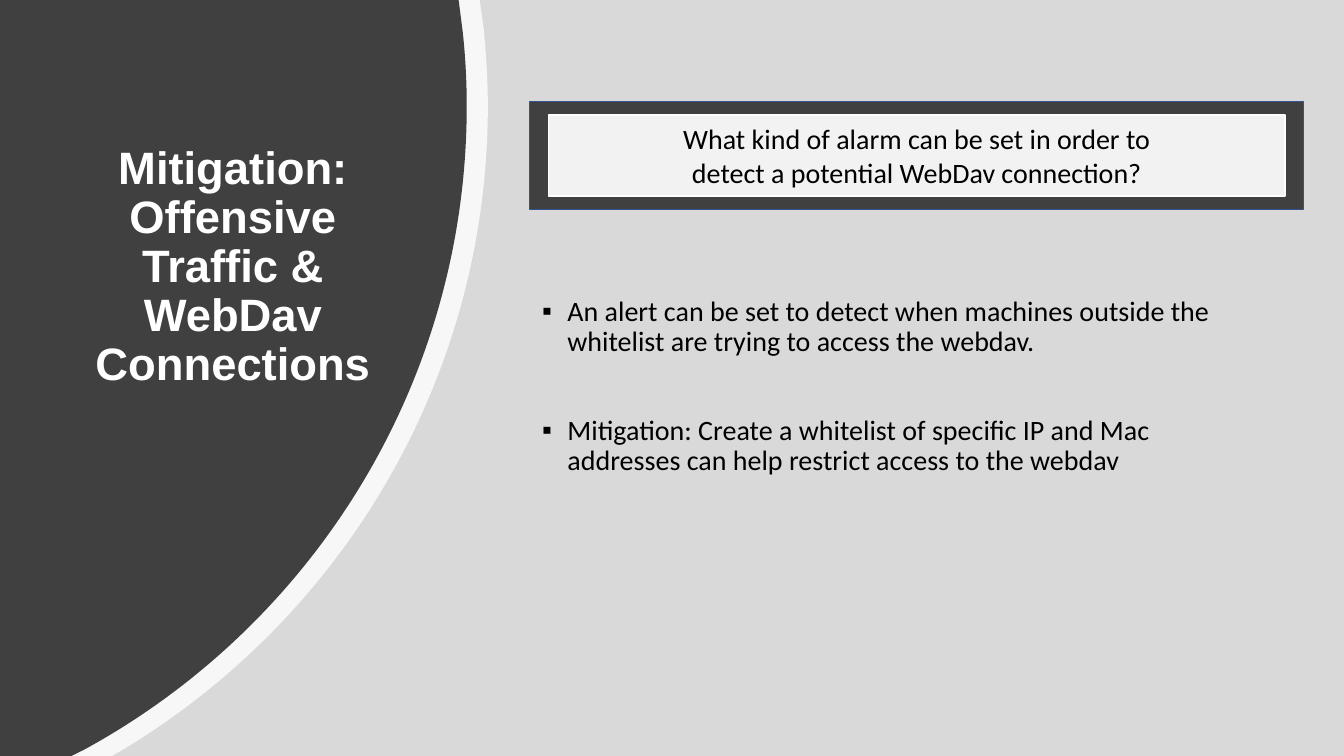
from lxml import etree
from pptx import Presentation
from pptx.dml.color import RGBColor
from pptx.enum.shapes import MSO_SHAPE
from pptx.enum.text import MSO_ANCHOR, PP_ALIGN
from pptx.oxml.ns import qn
from pptx.util import Pt

RECTANGLE = MSO_SHAPE.RECTANGLE
TOP, MIDDLE = MSO_ANCHOR.TOP, MSO_ANCHOR.MIDDLE
LEFT, CENTER = PP_ALIGN.LEFT, PP_ALIGN.CENTER

WIDTH, HEIGHT = 960, 540
COLORS = {
    "background": "D9D9D9",
    "dark": "404040",
    "white": "FFFFFF",
    "panel": "F2F2F2",
    "frame_line": "325491",
    "text": "000000",
}
TITLE = "Mitigation: Offensive Traffic & WebDav Connections"
QUESTION = "What kind of alarm can be set in order to detect a potential WebDav connection?"
ANSWERS = [
    "An alert can be set to detect when machines outside the whitelist are trying to access the webdav.",
    "Mitigation: Create a whitelist of specific IP and Mac addresses can help restrict access to the webdav",
]
RIM_CURVES = [
    [(345.6, 20.9), (347.3, 38.9), (348.5, 57.2), (348.5, 75.6)],
    [(348.5, 75.6), (348.5, 270), (244.8, 439.9), (90, 534.2)],
]
PANEL_CURVES = [
    [(330.5, 22.3), (332.4, 39.6), (333.4, 57.6), (333.4, 75.6)],
    [(333.4, 75.6), (333.4, 274.3), (222.5, 447.1), (59.8, 535.7)],
]


def color(name):
    """Return the named colour."""
    return RGBColor.from_string(COLORS[name])


def paint(shape, fill, line=None):
    """Give a shape a flat fill and an optional one-point outline."""
    shape.shadow.inherit = False
    shape.fill.solid()
    shape.fill.fore_color.rgb = color(fill)
    if line:
        shape.line.color.rgb = color(line)
        shape.line.width = Pt(1)
    else:
        shape.line.fill.background()


def add_rectangle(page, box, fill, line=None):
    """Draw a rectangle in the box."""
    shape = page.shapes.add_shape(RECTANGLE, *map(Pt, box))
    paint(shape, fill, line)
    return shape


def add_span(para, text, size, font, tone, bold=False):
    """Append a styled run to a paragraph."""
    span = para.add_run()
    span.text = text
    span.font.size = Pt(size)
    span.font.name = font
    span.font.bold = bold
    span.font.color.rgb = color(tone)


def add_text_frame(page, box):
    """Place a wrapping text box and return its frame."""
    frame = page.shapes.add_textbox(*map(Pt, box)).text_frame
    frame.word_wrap = True
    frame.vertical_anchor = TOP
    return frame


def bend(segment, curve):
    """Turn a straight outline segment into a cubic curve."""
    segment.tag = qn("a:cubicBezTo")
    for point in list(segment):
        segment.remove(point)
    for x, y in curve[1:]:
        point = etree.SubElement(segment, qn("a:pt"))
        point.set("x", str(Pt(x)))
        point.set("y", str(Pt(y)))


def add_curved_panel(page, box, top_edge, curves, bottom_edge, fill, opacity=100):
    """Draw a panel from the box's left side to a curved right edge."""
    left, top, height = box
    corners = [(top_edge, 0), curves[0][0]]
    corners += [curve[-1] for curve in curves]
    corners += [(bottom_edge, height), (0, height)]
    builder = page.shapes.build_freeform(0, 0)
    builder.add_line_segments([(Pt(x), Pt(y)) for x, y in corners], close=True)
    shape = builder.convert_to_shape(Pt(left), Pt(top))
    paint(shape, fill)
    segments = list(shape._element.iter(qn("a:lnTo")))
    for segment, curve in zip(segments[2:], curves):
        bend(segment, curve)
    if opacity < 100:
        tone = next(shape._element.spPr.iter(qn("a:srgbClr")))
        etree.SubElement(tone, qn("a:alpha")).set("val", str(opacity * 1000))


def add_title(page, box):
    """Write the slide title in the box."""
    para = add_text_frame(page, box).paragraphs[0]
    para.alignment = CENTER
    para.line_spacing = 0.9
    add_span(para, TITLE, 32.4, "Arial", "white", True)


def add_question(page, box):
    """Draw the dark frame with the question panel inside it."""
    left, top, width, height = box
    add_rectangle(page, box, "dark", "frame_line")
    panel = add_rectangle(page, (left + 13.9, top + 9.4, width - 27, height - 19), "panel", "white")
    frame = panel.text_frame
    frame.word_wrap = True
    frame.vertical_anchor = MIDDLE
    frame.margin_left = frame.margin_right = Pt(80)
    para = frame.paragraphs[0]
    para.alignment = CENTER
    add_span(para, QUESTION, 20, "Calibri", "text")


def add_answers(page, box):
    """Write the bulleted answers in the box."""
    frame = add_text_frame(page, box)
    for index, answer in enumerate(ANSWERS):
        para = frame.add_paragraph() if index else frame.paragraphs[0]
        para.alignment = LEFT
        para.line_spacing = 0.9
        para.space_before = Pt(42 if index else 0)
        properties = para._p.get_or_add_pPr()
        properties.set("marL", str(Pt(18)))
        properties.set("indent", str(-Pt(18)))
        etree.SubElement(properties, qn("a:buFont")).set("typeface", "Arial")
        etree.SubElement(properties, qn("a:buChar")).set("char", "▪")
        add_span(para, answer, 20, "Calibri", "text")


def main():
    """Build the slide and save the deck."""
    deck = Presentation()
    deck.slide_width, deck.slide_height = Pt(WIDTH), Pt(HEIGHT)
    page = deck.slides.add_slide(deck.slide_layouts[6])
    add_rectangle(page, (0, 0, WIDTH, HEIGHT), "background")
    side = (0, 0, HEIGHT)
    add_curved_panel(page, side, 342.7, RIM_CURVES, 79.9, "white", 80)
    add_curved_panel(page, side, 327.6, PANEL_CURVES, 51.1, "dark")
    add_title(page, (53.3, 100, 226, 170))
    add_answers(page, (380.2, 208.8, 525, 194.4))
    add_question(page, (378, 72.7, 553, 77))
    deck.save("out.pptx")


if __name__ == "__main__":
    main()
